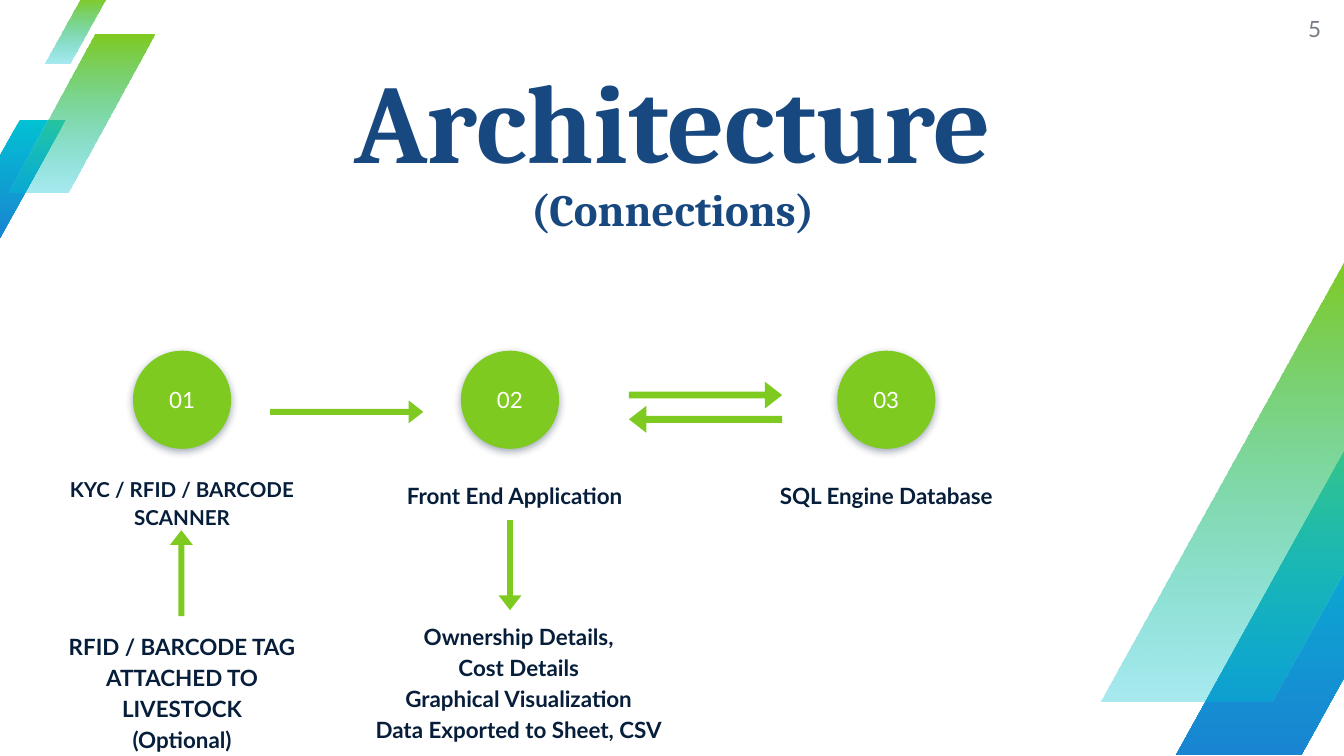
import dataclasses

import pptx
import pptx.dml.color
import pptx.enum.shapes
import pptx.enum.text
import pptx.oxml
import pptx.oxml.ns
import pptx.util
from lxml import etree

Inches = pptx.util.Inches
Pt = pptx.util.Pt
Shape = pptx.enum.shapes.MSO_SHAPE
Align = pptx.enum.text.PP_ALIGN
Anchor = pptx.enum.text.MSO_ANCHOR


@dataclasses.dataclass(frozen=True)
class Theme:
    green: str = "7FCA20"
    cyan: str = "02C1D3"
    blue: str = "1985D2"
    title: str = "184880"
    ink: str = "061E3A"
    grey: str = "757C83"
    white: str = "FFFFFF"
    heading_font: str = "Cambria"
    body_font: str = "Lato"
    title_size: int = 60
    subtitle_size: int = 24
    body_size: int = 12
    small_size: int = 11


THEME = Theme()


def rgb(value):
    return pptx.dml.color.RGBColor.from_string(value)


def set_font(font, name, size, color, bold=False):
    font.name = name
    font.size = Pt(size)
    font.color.rgb = rgb(color)
    font.bold = bold


def fill_frame(frame, lines, size, color, bold=False, align=Align.CENTER,
               anchor=Anchor.TOP, inset=0.1, spacing=1.0):
    """Write one paragraph per line, all in the body font."""
    frame.word_wrap = True
    frame.vertical_anchor = anchor
    frame.margin_left = frame.margin_right = Inches(inset)
    frame.margin_top = frame.margin_bottom = Inches(inset)
    frame.text = "\n".join(lines)
    for para in frame.paragraphs:
        para.alignment = align
        para.line_spacing = spacing
        set_font(para.font, THEME.body_font, size, color, bold)


def add_plain_shape(page, kind, box):
    shape = page.shapes.add_shape(kind, *map(Inches, box))
    shape.shadow.inherit = False
    shape.line.fill.background()
    return shape


def add_label(page, box, lines, size=THEME.body_size):
    label = page.shapes.add_textbox(*map(Inches, box))
    fill_frame(label.text_frame, lines, size, THEME.ink, bold=True, spacing=1.15)


def add_stripe(page, box, top_color, bottom_color, bottom_opacity=100):
    stripe = add_plain_shape(page, Shape.PARALLELOGRAM, box)
    stripe.adjustments[0] = 0.59
    stripe.fill.gradient()
    stripe.fill.gradient_angle = 270
    for stop, color in zip(stripe.fill.gradient_stops, (top_color, bottom_color)):
        stop.color.rgb = rgb(color)
    if bottom_opacity < 100:
        last_color = stripe.element.spPr.findall(".//" + pptx.oxml.ns.qn("a:srgbClr"))[-1]
        alpha = etree.SubElement(last_color, pptx.oxml.ns.qn("a:alpha"))
        alpha.set("val", str(bottom_opacity * 1000))


def add_corner_stripes(page, left, top, blue_box, green_boxes):
    """Place a blue stripe behind translucent green ones, offset from a corner."""
    def placed(box):
        x, y, width, height = box
        return left + x, top + y, width, height

    add_stripe(page, placed(blue_box), THEME.cyan, THEME.blue)
    for box in green_boxes:
        add_stripe(page, placed(box), THEME.green, THEME.cyan, 34)


def add_title(page, box, heading, subtitle):
    title = page.shapes.title
    title.left, title.top, title.width, title.height = map(Inches, box)
    frame = title.text_frame
    frame.word_wrap = True
    frame.vertical_anchor = Anchor.MIDDLE
    frame.margin_left = frame.margin_right = frame.margin_top = frame.margin_bottom = 0
    para = frame.paragraphs[0]
    para.alignment = Align.CENTER
    para.line_spacing = 0.9
    for text, size in ((heading, THEME.title_size), (subtitle, THEME.subtitle_size)):
        if para.runs:
            para.add_line_break()
        span = para.add_run()
        span.text = text
        set_font(span.font, THEME.heading_font, size, THEME.title, bold=True)


def add_page_number(page, box, number):
    holder = page.shapes.add_textbox(*map(Inches, box))
    fill_frame(holder.text_frame, [number], THEME.body_size, THEME.grey,
               align=Align.RIGHT, anchor=Anchor.MIDDLE, inset=0)


def add_soft_shadow(shape):
    effects = shape.element.spPr.find(pptx.oxml.ns.qn("a:effectLst"))
    effects.append(pptx.oxml.parse_xml(
        f'<a:outerShdw {pptx.oxml.ns.nsdecls("a")} blurRad="{Pt(4.5)}" dist="{Pt(1.5)}" '
        f'dir="5400000" algn="bl" rotWithShape="0"><a:srgbClr val="{THEME.ink}">'
        '<a:alpha val="38000"/></a:srgbClr></a:outerShdw>'))


def add_step(page, left, top, number, caption, caption_box, size=THEME.body_size):
    """Draw a numbered circle; caption_box is relative to the circle's corner."""
    circle = add_plain_shape(page, Shape.OVAL, (left, top, 0.73, 0.73))
    circle.fill.solid()
    circle.fill.fore_color.rgb = rgb(THEME.green)
    add_soft_shadow(circle)
    fill_frame(circle.text_frame, [number], THEME.body_size, THEME.white,
               anchor=Anchor.MIDDLE)
    x, y, width, height = caption_box
    add_label(page, (left + x, top + y, width, height), [caption], size)


def add_arrow(page, box, rotation=0):
    arrow = add_plain_shape(page, Shape.RIGHT_ARROW, box)
    arrow.adjustments[0] = 0.255
    arrow.adjustments[1] = 0.643
    arrow.rotation = rotation
    arrow.fill.solid()
    arrow.fill.fore_color.rgb = rgb(THEME.green)


def add_connections(page, left, top):
    """Draw the three steps, their arrows and the notes below them."""
    add_step(page, left, top, "01", "KYC / RFID / BARCODE SCANNER",
             (-0.92, 0.81, 2.57, 0.38), THEME.small_size)
    add_step(page, left + 2.44, top, "02", "Front End Application",
             (-0.83, 0.85, 2.46, 0.38))
    add_step(page, left + 5.24, top, "03", "SQL Engine Database",
             (-0.71, 0.85, 2.15, 0.38))

    arrows = (
        (1.02, 0.37, 1.14, 0.17, 0),
        (3.69, 0.23, 1.14, 0.2, 0),
        (3.69, 0.41, 1.14, 0.2, 180),
        (0.04, 1.57, 0.64, 0.17, 270),
        (2.47, 1.51, 0.67, 0.17, 90),
    )
    for x, y, width, height, rotation in arrows:
        add_arrow(page, (left + x, top + y, width, height), rotation)

    add_label(page, (left - 0.71, top + 1.97, 2.15, 0.38),
              ["RFID / BARCODE TAG ATTACHED TO LIVESTOCK", "(Optional)"])
    add_label(page, (left + 1.48, top + 1.9, 2.78, 0.82),
              ["Ownership Details,", "Cost Details", "Graphical Visualization",
               "Data Exported to Sheet, CSV"])


def main():
    deck = pptx.Presentation()
    deck.slide_width = Inches(10)
    deck.slide_height = deck.slide_width * 9 // 16
    page = deck.slides.add_slide(deck.slide_layouts[5])
    page.background.fill.solid()
    page.background.fill.fore_color.rgb = rgb(THEME.white)

    add_corner_stripes(page, 0, 0, (-0.34, 0.89, 0.83, 0.88),
                       [(0.06, 0.26, 1.09, 1.17), (0.33, -0.02, 0.46, 0.49)])
    add_corner_stripes(page, 8.19, 1.92, (0.56, 1.28, 2.27, 2.42), [(0, 0, 3.1, 3.3)])
    add_title(page, (2.01, 0.49, 5.99, 1.27), "Architecture", "(Connections)")
    add_page_number(page, (9.36, 0, 0.47, 0.43), "5")
    add_connections(page, 0.99, 2.61)
    deck.save("out.pptx")


if __name__ == "__main__":
    main()
